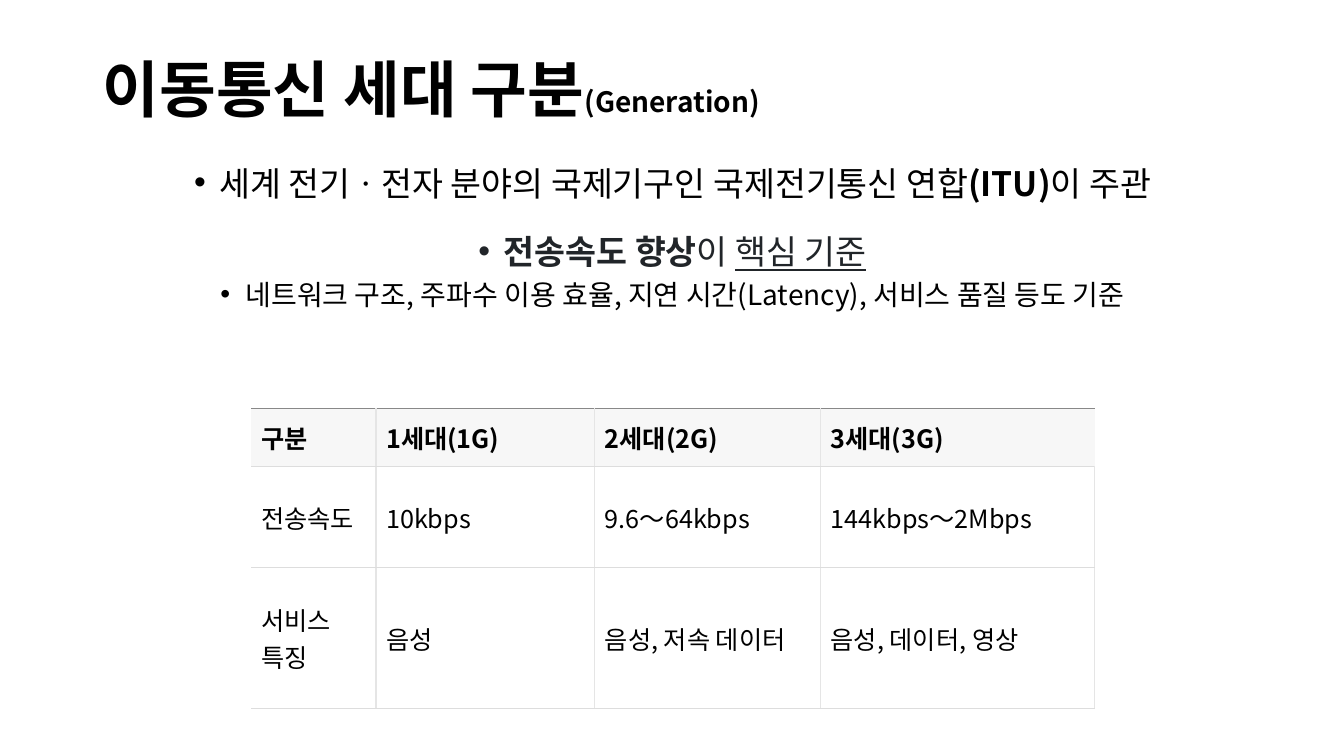
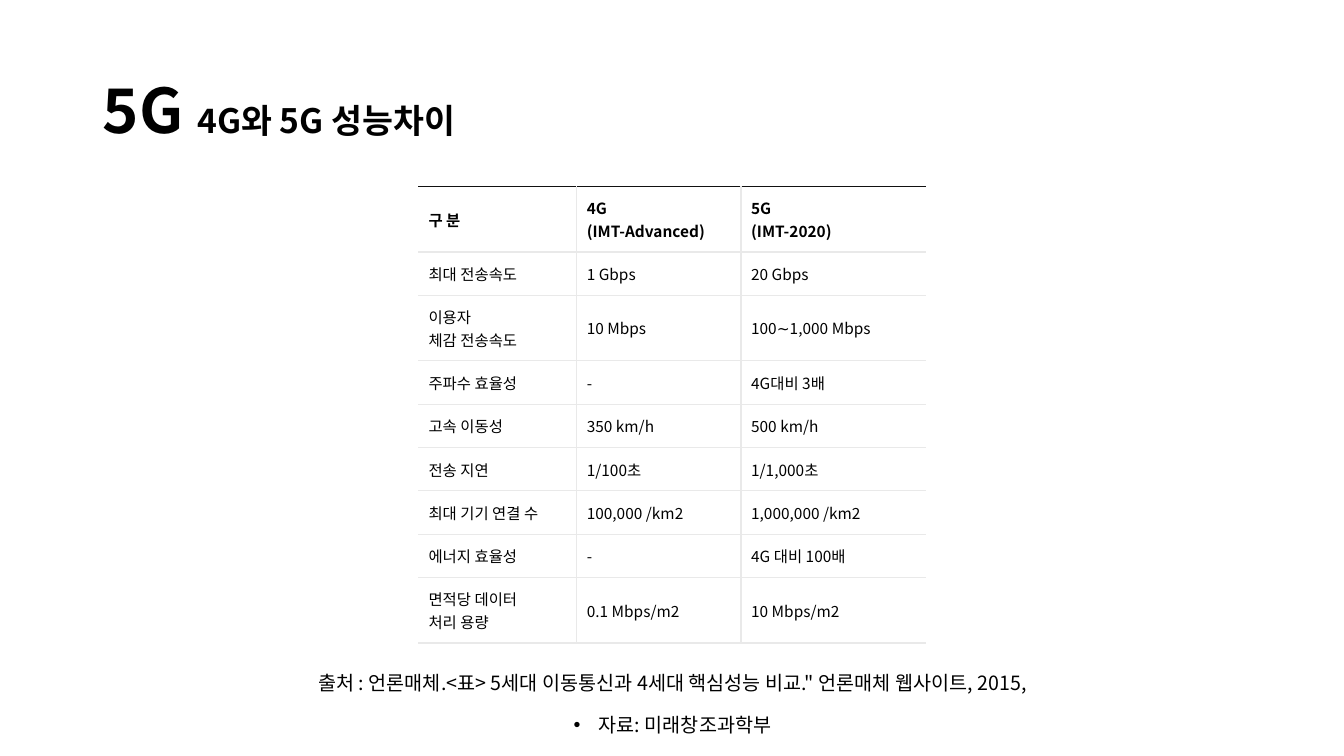
from copy import deepcopy

from pptx import Presentation
from pptx import util as u
from pptx.dml import color
from pptx.enum import text
from pptx.oxml import ns, xmlchemy
from lxml import etree

WIDTH, HEIGHT = 13.33, 7.5
MARGIN = 0.92
CONTENT = 11.5
FONT = "Noto Sans CJK KR"
COLORS = {
    "ink": "000000", "charcoal": "212529", "white": "FFFFFF",
    "header": "F7F7F7", "top": "888888", "rule": "DDDDDD", "column": "E5E5E5",
    "heavy": "111111", "light": "E9E9E9",
}
TITLE = {"size": 44, "bold": True}
CENTERED = {"alignment": text.PP_ALIGN.CENTER, "line_spacing": 0.8}

GENERATIONS = [
    ["구분", "1세대(1G)", "2세대(2G)", "3세대(3G)"],
    ["전송속도", "10kbps", "9.6～64kbps", "144kbps～2Mbps"],
    ["서비스 특징", "음성", "음성, 저속 데이터", "음성, 데이터, 영상"],
]
GENERATION_STYLE = {
    "size": 18, "header": "header", "top": ("top", 1), "rule": ("rule", 1),
    "column": ("column", 1), "closed": True,
}
PERFORMANCE = [
    ["구 분", "4G\n(IMT-Advanced)", "5G\n(IMT-2020)"],
    ["최대 전송속도", "1 Gbps", "20 Gbps"],
    ["이용자\n체감 전송속도", "10 Mbps", "100∼1,000 Mbps"],
    ["주파수 효율성", "-", "4G대비 3배"],
    ["고속 이동성", "350 km/h", "500 km/h"],
    ["전송 지연", "1/100초", "1/1,000초"],
    ["최대 기기 연결 수", "100,000 /km2", "1,000,000 /km2"],
    ["에너지 효율성", "-", "4G 대비 100배"],
    ["면적당 데이터\n처리 용량", "0.1 Mbps/m2", "10 Mbps/m2"],
]
PERFORMANCE_STYLE = {
    "size": 11, "header": "white", "top": ("heavy", 1.5), "rule": ("light", 1),
    "column": ("light", 1), "closed": False,
}


def set_all(target, values):
    for name, value in values.items():
        setattr(target, name, value)


def add_span(para, words, size, tint="ink", **formats):
    """Add styled words to a paragraph; a newline becomes a line break."""
    for index, line in enumerate(words.split("\n")):
        if index:
            para.add_line_break()
        span = para.add_run()
        span.text = line
        set_all(span.font, {"name": FONT, "size": u.Pt(size), **formats})
        span.font.color.rgb = color.RGBColor.from_string(COLORS[tint])
        props = span.font._element
        props.find(ns.qn("a:latin")).addnext(
            xmlchemy.OxmlElement("a:ea"))
        props.find(ns.qn("a:ea")).set("typeface", FONT)
        if index:
            span._r.getprevious().append(deepcopy(props))


def hang(para, bullet=True):
    """Give a paragraph a hanging indent, with or without a bullet."""
    props = para._p.get_or_add_pPr()
    props.set("marL", str(u.Inches(0.25)))
    props.set("indent", str(u.Inches(-0.25)))
    if bullet:
        font = etree.SubElement(props, ns.qn("a:buFont"))
        font.set("typeface", "Arial")
        etree.SubElement(props, ns.qn("a:buChar")).set("char", "•")


def add_box(page, box, anchor):
    frame = page.shapes.add_textbox(*map(u.Inches, box)).text_frame
    set_all(frame, {"word_wrap": True, "vertical_anchor": anchor})
    return frame


def add_title(page, top, spans):
    box = (MARGIN, top, CONTENT, 1.45)
    para = add_box(page, box, text.MSO_ANCHOR.MIDDLE).paragraphs[0]
    para.line_spacing = 0.9
    for words, formats in spans:
        add_span(para, words, **{**TITLE, **formats})


def add_body(page, box, items):
    """Each item holds its bullet flag, space before, space after and spans."""
    frame = add_box(page, box, text.MSO_ANCHOR.TOP)
    for index, (bullet, before, after, spans) in enumerate(items):
        para = frame.add_paragraph() if index else frame.paragraphs[0]
        set_all(para, {**CENTERED, "space_before": u.Pt(before),
                       "space_after": u.Pt(after)})
        hang(para, bullet)
        for words, formats in spans:
            add_span(para, words, **formats)


def add_border(cell, side, line):
    """Draw one cell edge from a (colour, points) pair, or hide it for None."""
    edge = etree.SubElement(cell._tc.get_or_add_tcPr(), ns.qn("a:ln" + side))
    if line is None:
        etree.SubElement(edge, ns.qn("a:noFill"))
        return
    tint, points = line
    edge.set("w", str(u.Pt(points)))
    fill = etree.SubElement(edge, ns.qn("a:solidFill"))
    etree.SubElement(fill, ns.qn("a:srgbClr")).set("val", COLORS[tint])


def add_grid(page, left, top, columns, heights, rows, style):
    box = (left, top, sum(columns), sum(heights))
    table = page.shapes.add_table(
        len(rows), len(columns), *map(u.Inches, box)).table
    set_all(table, {"first_row": False, "horz_banding": False})
    for column, width in zip(table.columns, columns):
        column.width = u.Inches(width)
    for row, height in zip(table.rows, heights):
        row.height = u.Inches(height)
    last = len(columns) - 1
    sides = ("left", "right", "top", "bottom")
    for r, values in enumerate(rows):
        for c, words in enumerate(values):
            cell = table.cell(r, c)
            set_all(cell, {f"margin_{side}": u.Inches(0.1) for side in sides})
            cell.vertical_anchor = text.MSO_ANCHOR.MIDDLE
            closed = c < last or (style["closed"] and r > 0)
            add_border(cell, "L", style["column"] if c else None)
            add_border(cell, "R", style["column"] if closed else None)
            add_border(cell, "T", style["rule" if r else "top"])
            add_border(cell, "B", style["rule"])
            cell.fill.solid()
            tint = COLORS["white" if r else style["header"]]
            cell.fill.fore_color.rgb = color.RGBColor.from_string(tint)
            para = cell.text_frame.paragraphs[0]
            para.space_after = u.Pt(8)
            add_span(para, words, style["size"], bold=r == 0)


def add_generation_slide(page):
    add_title(page, 0.19, [("이동통신 세대 구분", {}),
                           ("(Generation)", {"size": 20})])
    plain = {"size": 24}
    strong = {**plain, "bold": True}
    dark = {**plain, "tint": "charcoal"}
    add_body(page, (MARGIN, 1.64, CONTENT, 2.2), [
        (True, 9, 0, [
            ("세계 전기ㆍ전자 분야의 국제기구인 국제전기통신 연합", plain),
            ("(ITU)", strong), ("이 주관", plain)]),
        (True, 26, 0, [
            ("전송속도 향상", {**dark, "bold": True}), ("이 ", dark),
            ("핵심 기준", {**dark, "underline": True})]),
        (True, 9, 0, [
            ("네트워크 구조, 주파수 이용 효율, 지연 시간(Latency), "
             "서비스 품질 등도 기준", {"size": 20})]),
    ])
    add_grid(page, 2.49, 4.05, [1.24, 2.17, 2.24, 2.72], [0.58, 1, 1.4],
             GENERATIONS, GENERATION_STYLE)


def add_performance_slide(page):
    add_title(page, 0.4, [("5G ", {}), ("4G와 5G 성능차이", {"size": 24})])
    heights = [0.65 if any("\n" in words for words in row) else 0.43
               for row in PERFORMANCE]
    add_grid(page, 4.15, 1.85, [1.57, 1.63, 1.83], heights,
             PERFORMANCE, PERFORMANCE_STYLE)
    small = {"size": 14}
    add_body(page, (MARGIN, 6.65, CONTENT, 0.85), [
        (False, 9, 8, [
            ("출처 : 언론매체.<표> 5세대 이동통신과 4세대 핵심성능 비교.\" "
             "언론매체 웹사이트, 2015,", small)]),
        (True, 9, 8, [("자료: 미래창조과학부", small)]),
    ])


def main():
    deck = Presentation()
    set_all(deck, {"slide_width": u.Inches(WIDTH),
                   "slide_height": u.Inches(HEIGHT)})
    for build in (add_generation_slide, add_performance_slide):
        build(deck.slides.add_slide(deck.slide_layouts[6]))
    deck.save("out.pptx")


if __name__ == "__main__":
    main()
